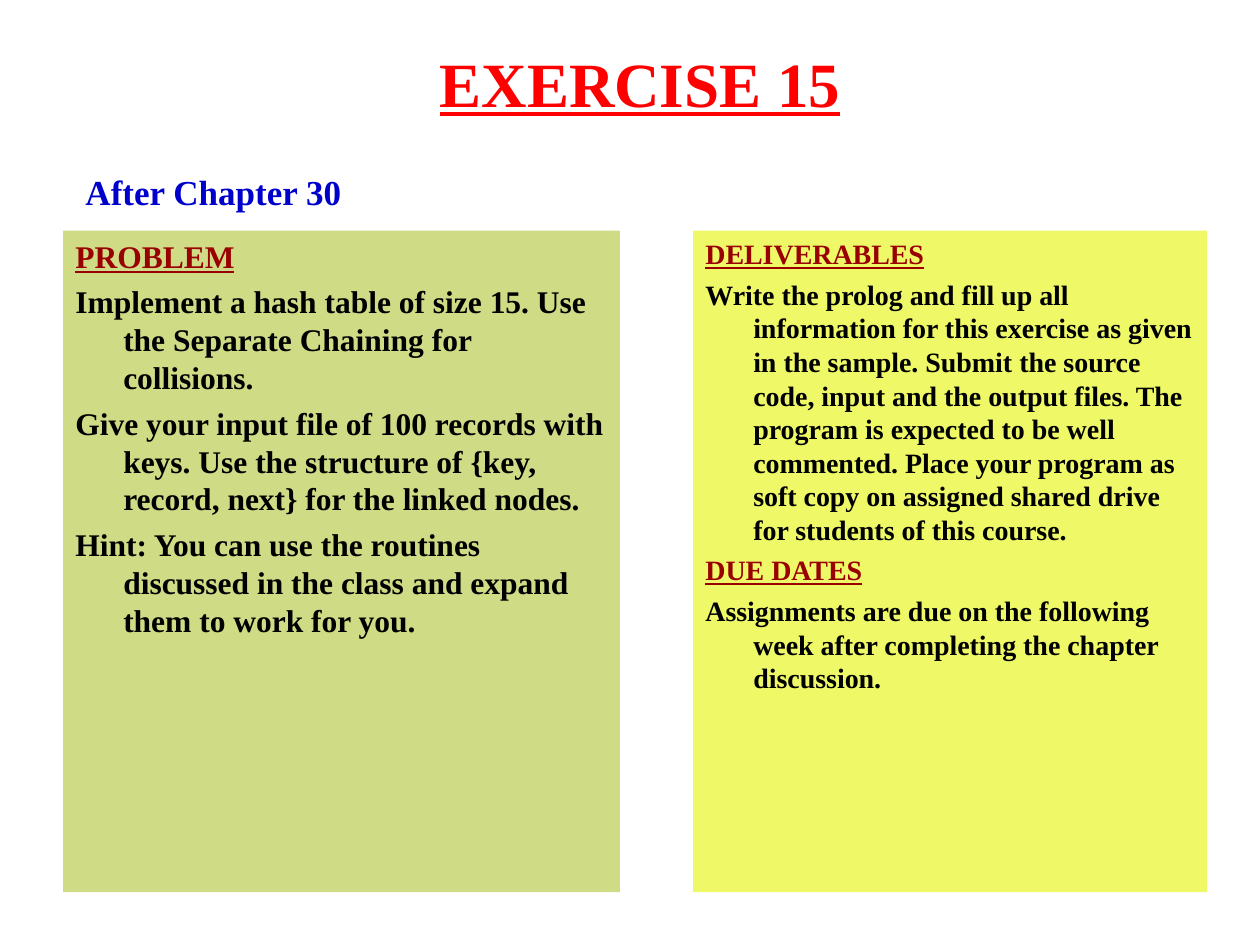
from dataclasses import dataclass
from typing import NamedTuple

from pptx import Presentation
from pptx.dml.color import RGBColor
from pptx.enum.shapes import MSO_SHAPE
from pptx.enum.text import MSO_ANCHOR, PP_ALIGN
from pptx.util import Inches, Pt


@dataclass(frozen=True)
class Theme:
    font: str = "Times New Roman"
    title: RGBColor = RGBColor(0xFF, 0x00, 0x00)
    chapter: RGBColor = RGBColor(0x00, 0x00, 0xCC)
    heading: RGBColor = RGBColor(0x99, 0x00, 0x00)
    body: RGBColor = RGBColor(0x00, 0x00, 0x00)
    problem_fill: RGBColor = RGBColor(0xCF, 0xDB, 0x85)
    deliverables_fill: RGBColor = RGBColor(0xEF, 0xF9, 0x67)
    title_size: int = 36
    chapter_size: int = 20
    problem_size: int = 18
    deliverables_size: int = 16


class Line(NamedTuple):
    text: str
    heading: bool = False


@dataclass(frozen=True)
class Panel:
    left: float
    width: float
    fill: RGBColor
    size: int
    lines: tuple[Line, ...]


THEME = Theme()
PANEL_TOP, PANEL_HEIGHT = 1.83, 5.25
HANGING = Inches(0.38)
SPACE_RATIO = 0.25

PANELS = (
    Panel(0.5, 4.42, THEME.problem_fill, THEME.problem_size, (
        Line("PROBLEM", heading=True),
        Line("Implement a hash table of size 15. Use the Separate Chaining "
             "for collisions."),
        Line("Give your input file of 100 records with keys. Use the "
             "structure of {key, record, next} for the linked nodes."),
        Line("Hint: You can use the routines discussed in the class and "
             "expand them to work for you."),
    )),
    Panel(5.5, 4.08, THEME.deliverables_fill, THEME.deliverables_size, (
        Line("DELIVERABLES", heading=True),
        Line("Write the prolog and fill up all information for this exercise "
             "as given in the sample. Submit the source code, input and the "
             "output files. The program is expected to be well commented. "
             "Place your program as soft copy on assigned shared drive for "
             "students of this course."),
        Line("DUE DATES", heading=True),
        Line("Assignments are due on the following week after completing the "
             "chapter discussion."),
    )),
)


def add_text(p, text: str, size: int, color: RGBColor,
             underline: bool = False) -> None:
    r = p.add_run()
    r.text = text
    font = {"name": THEME.font, "size": Pt(size), "bold": True,
            "underline": underline}
    for name, value in font.items():
        setattr(r.font, name, value)
    r.font.color.rgb = color


def format_frame(tf, anchor: MSO_ANCHOR) -> None:
    frame = {"word_wrap": True, "vertical_anchor": anchor,
             "margin_left": Inches(0.1), "margin_right": Inches(0.1),
             "margin_top": Inches(0.05), "margin_bottom": Inches(0.05)}
    for name, value in frame.items():
        setattr(tf, name, value)


def set_title(s, text: str) -> None:
    sp = s.shapes.title
    box = {"left": 0.58, "top": 0.25, "width": 9, "height": 0.8}
    for name, value in box.items():
        setattr(sp, name, Inches(value))
    format_frame(sp.text_frame, MSO_ANCHOR.MIDDLE)
    p = sp.text_frame.paragraphs[0]
    p.alignment = PP_ALIGN.CENTER
    add_text(p, text, THEME.title_size, THEME.title, underline=True)


def add_panel(s, panel: Panel) -> None:
    sp = s.shapes.add_shape(
        MSO_SHAPE.RECTANGLE, Inches(panel.left), Inches(PANEL_TOP),
        Inches(panel.width), Inches(PANEL_HEIGHT))
    sp.shadow.inherit = False
    sp.fill.solid()
    sp.fill.fore_color.rgb = panel.fill
    sp.line.fill.background()
    tf = sp.text_frame
    format_frame(tf, MSO_ANCHOR.TOP)
    for i, line in enumerate(panel.lines):
        p = tf.add_paragraph() if i else tf.paragraphs[0]
        p.alignment = PP_ALIGN.LEFT
        p.space_before = Pt(panel.size * SPACE_RATIO)
        pPr = p._p.get_or_add_pPr()
        pPr.set("marL", str(HANGING))
        pPr.set("indent", str(-HANGING))
        color = THEME.heading if line.heading else THEME.body
        add_text(p, line.text, panel.size, color, underline=line.heading)


def add_chapter(s, text: str) -> None:
    sp = s.shapes.add_textbox(
        Inches(0.58), Inches(1.33), Inches(2.58), Inches(0.38))
    format_frame(sp.text_frame, MSO_ANCHOR.MIDDLE)
    add_text(sp.text_frame.paragraphs[0], text,
             THEME.chapter_size, THEME.chapter)


def main() -> None:
    prs = Presentation()
    prs.slide_width, prs.slide_height = Inches(10), Inches(7.5)
    s = prs.slides.add_slide(prs.slide_layouts[5])
    set_title(s, "EXERCISE 15")
    for panel in PANELS:
        add_panel(s, panel)
    add_chapter(s, "After Chapter 30")
    prs.save("out.pptx")


if __name__ == "__main__":
    main()
